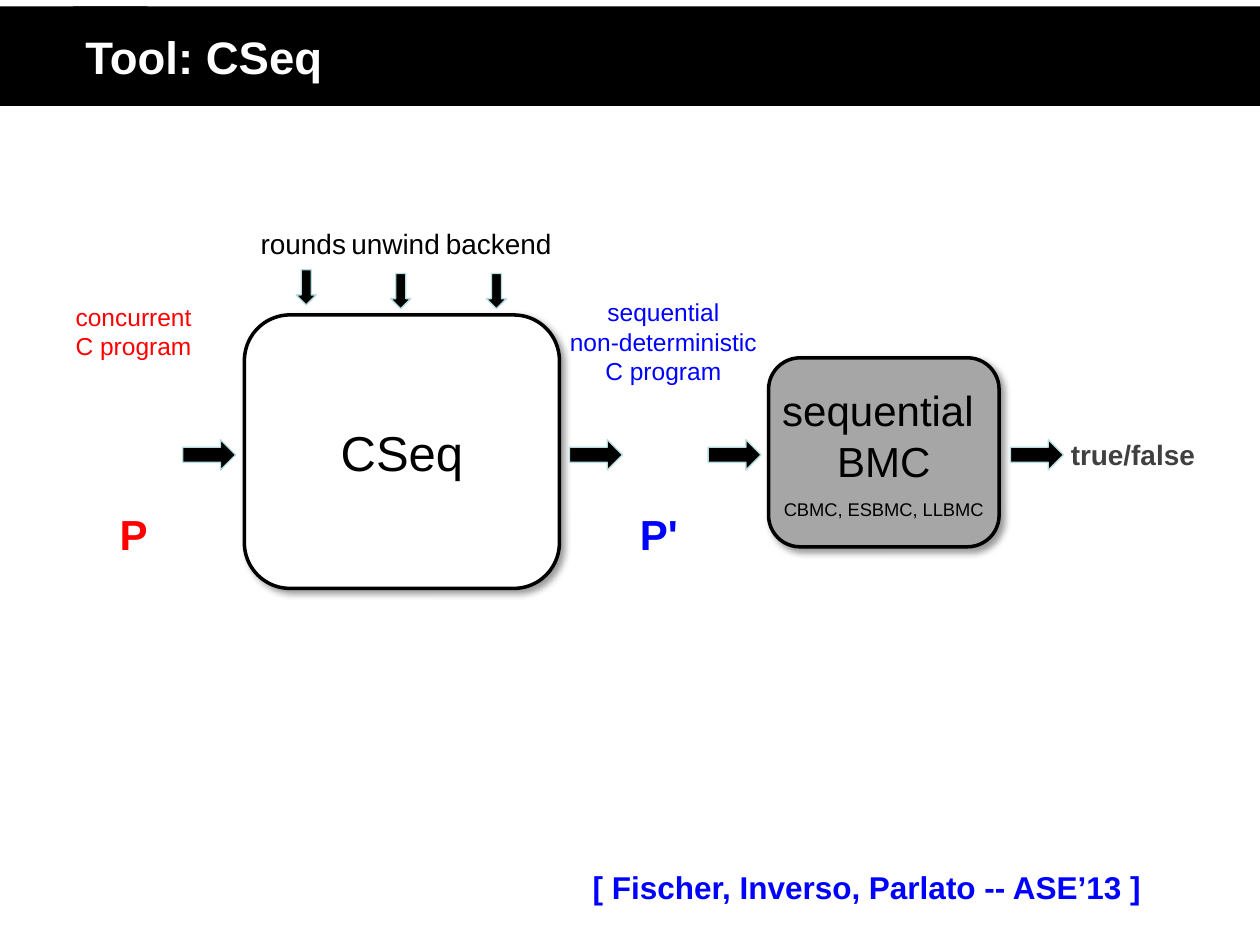
from dataclasses import dataclass

import pptx
import pptx.dml.color
import pptx.enum.shapes
import pptx.enum.text
import pptx.oxml
import pptx.oxml.ns
import pptx.util
from pptx.util import Inches

MSO_SHAPE = pptx.enum.shapes.MSO_SHAPE
ALIGN = pptx.enum.text.PP_ALIGN
ANCHOR = pptx.enum.text.MSO_ANCHOR


@dataclass(frozen=True)
class Theme:
    font: str = "Arial"
    black: str = "000000"
    white: str = "FFFFFF"
    source: str = "FF0000"
    target: str = "0000FF"
    verdict: str = "404040"
    backend: str = "A6A6A6"
    arrow_line: str = "B6DCDF"
    title_size: float = 26
    tool_size: float = 28
    symbol_size: float = 24
    citation_size: float = 18
    option_size: float = 16
    caption_size: float = 14
    detail_size: float = 10.5


THEME = Theme()


@dataclass(frozen=True)
class Box:
    left: float
    top: float
    width: float
    height: float

    def emu(self) -> tuple:
        return tuple(Inches(v) for v in (self.left, self.top, self.width, self.height))


@dataclass(frozen=True)
class Line:
    text: str
    size: float
    color: str = THEME.black
    bold: bool = False
    space_before: float = 0


@dataclass(frozen=True)
class Label:
    box: Box
    lines: tuple
    align: ALIGN = ALIGN.CENTER
    anchor: ANCHOR = ANCHOR.MIDDLE
    wrap: bool = True


@dataclass(frozen=True)
class Option:
    text: str
    box: Box
    arrow_left: float
    arrow_top: float


def rgb(value: str):
    return pptx.dml.color.RGBColor.from_string(value)


def write(s, lines: tuple, align=ALIGN.CENTER, anchor=ANCHOR.MIDDLE, wrap=True) -> None:
    """Fill a shape with one paragraph per line; a newline is a line break."""
    tf = s.text_frame
    tf.word_wrap = wrap
    tf.vertical_anchor = anchor
    for i, line in enumerate(lines):
        p = tf.paragraphs[0] if i == 0 else tf.add_paragraph()
        p.alignment = align
        if line.space_before:
            p.space_before = pptx.util.Pt(line.space_before)
        for j, part in enumerate(line.text.split("\n")):
            if j:
                p.add_line_break()
            r = p.add_run()
            r.text = part
            r.font.name = THEME.font
            r.font.size = pptx.util.Pt(line.size)
            r.font.bold = line.bold
            r.font.color.rgb = rgb(line.color)


def add_label(slide, label: Label) -> None:
    s = slide.shapes.add_textbox(*label.box.emu())
    write(s, label.lines, label.align, label.anchor, label.wrap)


def add_filled(slide, kind, box: Box, fill: str, line: str = "", width: float = 0):
    s = slide.shapes.add_shape(kind, *box.emu())
    s.shadow.inherit = False
    s.fill.solid()
    s.fill.fore_color.rgb = rgb(fill)
    if line:
        s.line.color.rgb = rgb(line)
        s.line.width = pptx.util.Pt(width)
    else:
        s.line.fill.background()
    return s


def add_arrow(slide, box: Box, rotation: float = 0) -> None:
    s = add_filled(slide, MSO_SHAPE.RIGHT_ARROW, box, THEME.black, THEME.arrow_line, 0.75)
    s.rotation = rotation


def add_stage(slide, box: Box, fill: str, lines: tuple, wrap: bool = True) -> None:
    """Rounded, outlined box with a soft shadow to the lower right."""
    s = add_filled(slide, MSO_SHAPE.ROUNDED_RECTANGLE, box, fill, THEME.black, 2)
    effects = s._element.spPr.find(pptx.oxml.ns.qn("a:effectLst"))
    effects.append(pptx.oxml.parse_xml(
        f'<a:outerShdw {pptx.oxml.ns.nsdecls("a")} blurRad="{pptx.util.Pt(4)}" '
        f'dist="{pptx.util.Pt(3)}" dir="2700000" algn="tl" rotWithShape="0">'
        f'<a:srgbClr val="{THEME.black}"><a:alpha val="40000"/></a:srgbClr></a:outerShdw>'))
    write(s, lines, wrap=wrap)


def caption(box: Box, color: str, *texts: str) -> Label:
    return Label(box, tuple(Line(t, THEME.caption_size, color) for t in texts))


def symbol(box: Box, color: str, text: str) -> Label:
    return Label(box, (Line(text, THEME.symbol_size, color, True),))


FLOW_ARROW_LEFTS = (1.45, 4.52, 5.62, 8.02)
OPTIONS = (
    Option("rounds", Box(1.97, 1.75, 0.89, 0.37), 2.29, 2.20),
    Option("unwind", Box(2.69, 1.75, 0.91, 0.37), 3.04, 2.23),
    Option("backend", Box(3.44, 1.75, 1.05, 0.37), 3.80, 2.23),
)
LABELS = (
    caption(Box(0.27, 2.25, 1.58, 0.76), THEME.source, "concurrent", "C program"),
    symbol(Box(0.55, 3.96, 1.02, 0.55), THEME.source, "P"),
    caption(Box(4.36, 2.25, 1.81, 0.92), THEME.target,
            "sequential", "non-deterministic", "C program"),
    symbol(Box(4.6, 3.96, 1.26, 0.55), THEME.target, "P'"),
    Label(Box(8.4, 2.78, 1.79, 1.65),
          (Line("true/false", THEME.option_size, THEME.verdict, True),), ALIGN.LEFT),
    Label(Box(3.42, 6.58, 6.92, 0.92),
          (Line("[ Fischer, Inverso, Parlato -- ASE’13 ]",
                THEME.citation_size, THEME.target, True),)),
)


def main() -> None:
    prs = pptx.Presentation()
    prs.slide_width, prs.slide_height = Inches(10), Inches(7.5)
    slide = prs.slides.add_slide(prs.slide_layouts[6])

    add_filled(slide, MSO_SHAPE.RECTANGLE, Box(0, 0.05, 1.17, 0.79), THEME.black)
    title = add_filled(slide, MSO_SHAPE.RECTANGLE, Box(0.58, 0.05, 9.42, 0.79), THEME.black)
    write(title, (Line("Tool: CSeq", THEME.title_size, THEME.white, True),), ALIGN.LEFT)

    add_stage(slide, Box(1.94, 2.5, 2.5, 2.17), THEME.white,
              (Line("CSeq", THEME.tool_size),))
    add_stage(slide, Box(6.1, 2.84, 1.83, 1.5), THEME.backend,
              (Line("sequential \nBMC", THEME.symbol_size),
               Line("CBMC, ESBMC, LLBMC", THEME.detail_size, space_before=7)), wrap=False)

    for left in FLOW_ARROW_LEFTS:
        add_arrow(slide, Box(left, 3.49, 0.42, 0.24))
    for option in OPTIONS:
        add_label(slide, Label(option.box, (Line(option.text, THEME.option_size),),
                               ALIGN.LEFT, ANCHOR.TOP, wrap=False))
        add_arrow(slide, Box(option.arrow_left, option.arrow_top, 0.28, 0.16), rotation=90)
    for label in LABELS:
        add_label(slide, label)

    prs.save("out.pptx")


if __name__ == "__main__":
    main()
